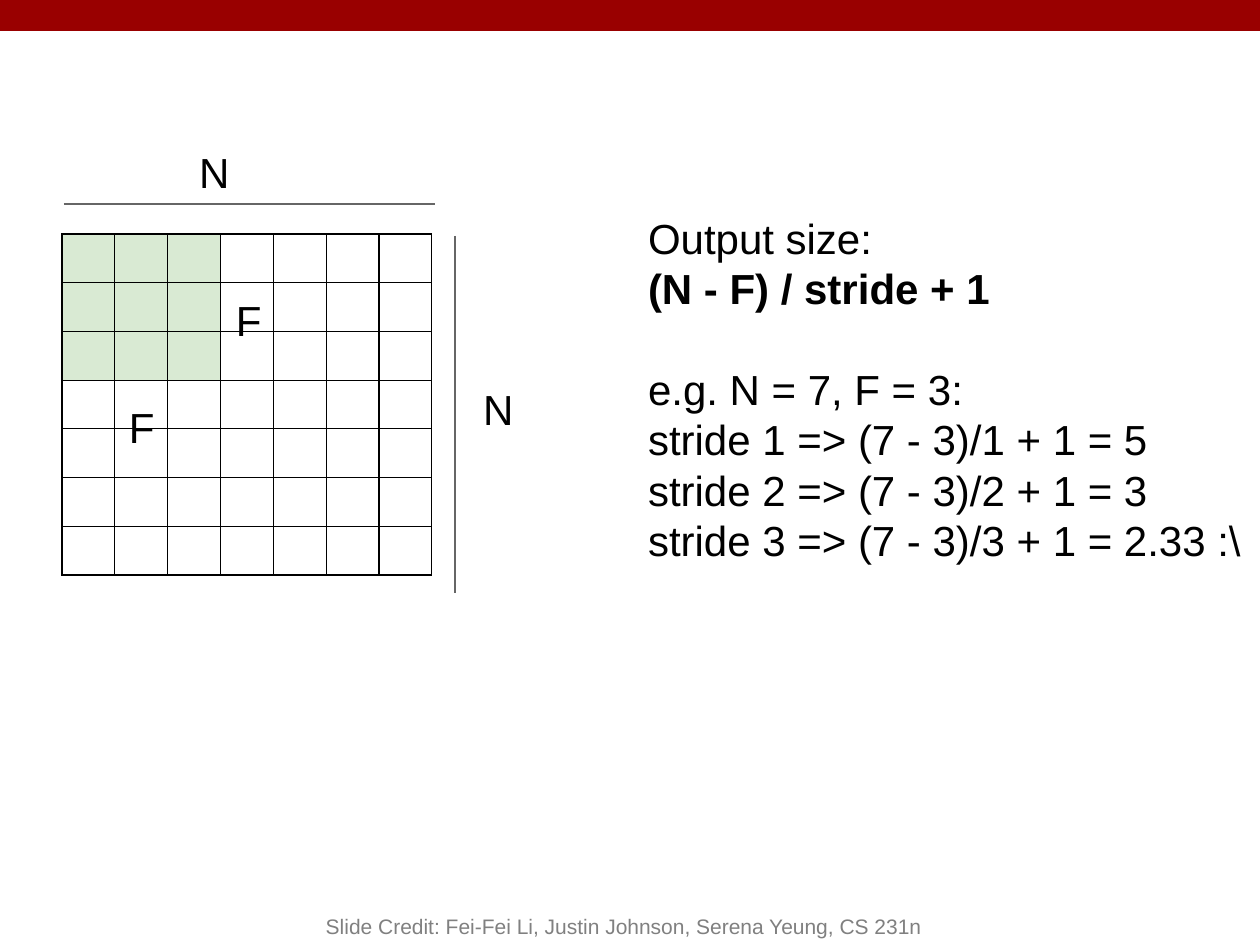
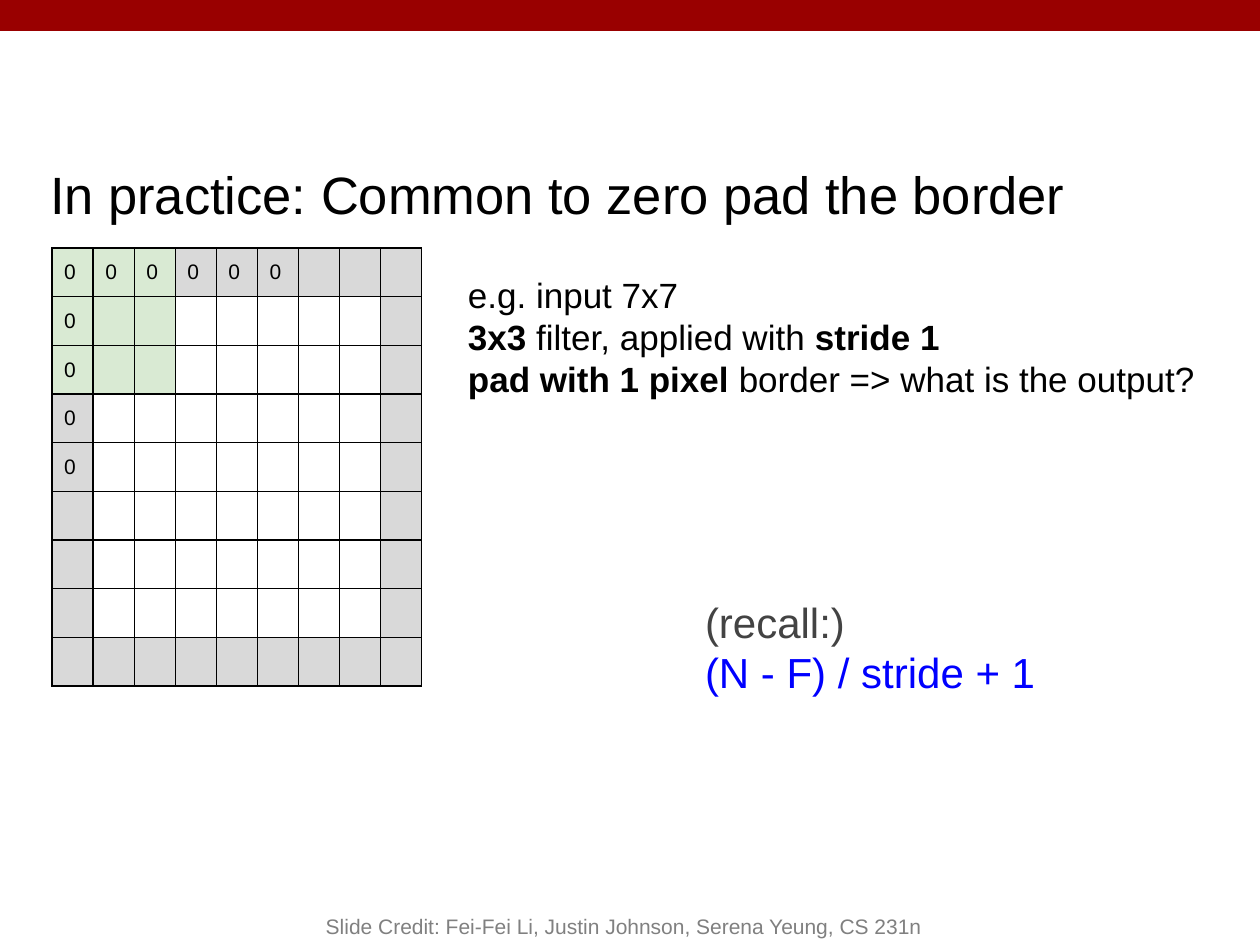
from dataclasses import dataclass

from lxml import etree
from pptx import Presentation
from pptx import util as u
from pptx.dml.color import RGBColor
from pptx.enum import shapes, text
from pptx.oxml import ns

PX = u.Inches(1) / 126


@dataclass(frozen=True)
class Theme:
    """Colours, font and type sizes shared by the slides."""
    font: str = "Arial"
    band: str = "990000"
    ink: str = "000000"
    paper: str = "FFFFFF"
    filter: str = "D9EAD3"
    padding: str = "D9D9D9"
    rule: str = "666666"
    credit: str = "808080"
    muted: str = "434343"
    formula: str = "0000FF"
    title_size: int = 30
    large_size: int = 24
    body_size: int = 20
    small_size: int = 12
    leading: float = 1.2
    rule_width: float = 1.5
    cell_width: float = 0.75


@dataclass(frozen=True)
class Line:
    """One paragraph; text between ** marks is bold."""
    text: str
    color: str = Theme.ink
    lines_before: int = 0


T = Theme()
SLIDE = (0, 0, 1260, 945)


def px(n):
    """Turn pixels into EMU."""
    return u.Emu(round(n * PX))


def rgb(color):
    """Turn a hex string into a colour."""
    return RGBColor.from_string(color)


def style(r, size, color, bold=False):
    """Format one run."""
    r.font.name, r.font.size, r.font.bold = T.font, u.Pt(size), bold
    r.font.color.rgb = rgb(color)


def add_text(s, box, lines, size, inset=13, anchor=text.MSO_ANCHOR.TOP,
             align=text.PP_ALIGN.LEFT):
    """Write lines in a text box."""
    tf = s.shapes.add_textbox(*map(px, box)).text_frame
    tf.word_wrap, tf.vertical_anchor = True, anchor
    tf.margin_left = tf.margin_right = tf.margin_top = tf.margin_bottom = px(inset)
    leading = u.Pt(size * T.leading)
    for i, line in enumerate(lines):
        p = tf.add_paragraph() if i else tf.paragraphs[0]
        p.alignment, p.line_spacing = align, leading
        p.space_before = leading * line.lines_before
        for j, part in enumerate(line.text.split("**")):
            if part:
                r = p.add_run()
                r.text = part
                style(r, size, line.color, bold=j % 2 == 1)


def add_rule(s, x1, y1, x2, y2):
    """Draw a grey dimension line."""
    sp = s.shapes.add_connector(shapes.MSO_CONNECTOR.STRAIGHT, *map(px, (x1, y1, x2, y2)))
    sp.line.color.rgb, sp.line.width = rgb(T.rule), u.Pt(T.rule_width)
    etree.SubElement(sp._element.spPr, ns.qn("a:effectLst"))


def border_cell(cell):
    """Give a cell thin lines on all four sides, placed before its fill."""
    tc_pr = cell._tc.get_or_add_tcPr()
    for i, side in enumerate(("lnL", "lnR", "lnT", "lnB")):
        ln = etree.Element(ns.qn(f"a:{side}"), w=str(u.Pt(T.cell_width)))
        fill = etree.SubElement(ln, ns.qn("a:solidFill"))
        etree.SubElement(fill, ns.qn("a:srgbClr"), val=T.ink)
        tc_pr.insert(i, ln)


def add_grid(s, box, n, fill_of, text_of):
    """Build an n by n table whose fills and words follow two rules."""
    x, y, w, h = box
    table = s.shapes.add_table(n, n, *map(px, box)).table
    for i in range(n):
        table.columns[i].width = px(w / n)
        table.rows[i].height = px(h / n)
        for j in range(n):
            cell = table.cell(i, j)
            cell.margin_left, cell.margin_right = px(8), px(13)
            cell.margin_top = cell.margin_bottom = 0
            cell.vertical_anchor = text.MSO_ANCHOR.MIDDLE
            cell.fill.solid()
            cell.fill.fore_color.rgb = rgb(fill_of(i, j))
            border_cell(cell)
            word = text_of(i, j)
            if word:
                p = cell.text_frame.paragraphs[0]
                p.text, p.alignment = word, text.PP_ALIGN.CENTER
                style(p.runs[0], T.small_size, T.ink)


def in_filter(i, j):
    """Tell whether a cell lies under the 3 by 3 filter."""
    return i < 3 and j < 3


def measured_input(s, box):
    """Show the 7 by 7 input with its N and F dimensions."""
    x, y, w, h = box
    add_grid(s, box, 7, lambda i, j: T.filter if in_filter(i, j) else T.paper,
             lambda i, j: "")
    add_rule(s, x + 2, y - 30, x + w + 3, y - 30)
    add_rule(s, x + w + 23, y + 2, x + w + 23, y + 359)
    for name, dx, dy in (("N", 124, -101), ("N", 408, 136), ("F", 54, 154), ("F", 161, 47)):
        add_text(s, (x + dx, y + dy, 107, 54), [Line(name)], T.large_size)


def padded_input(s, box, n=9):
    """Show the input with its border of zeros."""
    def fill_of(i, j):
        if in_filter(i, j):
            return T.filter
        return T.padding if {i, j} & {0, n - 1} else T.paper

    def text_of(i, j):
        return "0" if (i == 0 and j < 6) or (j == 0 and i < 5) else ""

    add_grid(s, box, n, fill_of, text_of)


def new_slide(prs):
    """Add a slide with the top band and the credit line."""
    s = prs.slides.add_slide(prs.slide_layouts[6])
    x, y, w, h = SLIDE
    band = s.shapes.add_shape(shapes.MSO_SHAPE.RECTANGLE, *map(px, (x, y, w, 31)))
    band.shadow.inherit = False
    band.fill.solid()
    band.fill.fore_color.rgb = rgb(T.band)
    band.line.fill.background()
    credit = "Slide Credit: Fei-Fei Li, Justin Johnson, Serena Yeung, CS 231n"
    add_text(s, (x + 251, y + h - 63, 746, 63), [Line(credit, T.credit)], T.small_size,
             6, text.MSO_ANCHOR.BOTTOM, text.PP_ALIGN.CENTER)
    return s


def output_size_slide(prs):
    """Explain the output size formula."""
    s = new_slide(prs)
    measured_input(s, (62, 234, 370, 341))
    strides = [Line(f"stride {n} => (7 - 3)/{n} + 1 = {result}")
               for n, result in enumerate(("5", "3", "2.33 :\\"), 1)]
    add_text(s, (635, 199, 625, 333),
             [Line("Output size:"), Line("**(N - F) / stride + 1**"),
              Line("e.g. N = 7, F = 3:", lines_before=1), *strides], T.large_size)


def zero_pad_slide(prs):
    """Ask for the output size with a padded border."""
    s = new_slide(prs)
    add_text(s, (37, 149, 1142, 102),
             [Line("In practice: Common to zero pad the border")], T.title_size)
    padded_input(s, (52, 248, 370, 438))
    add_text(s, (455, 261, 805, 204),
             [Line("e.g. input 7x7"), Line("**3x3** filter, applied with **stride 1**"),
              Line("**pad with 1 pixel** border => what is the output?")], T.body_size)
    add_text(s, (692, 562, 398, 169),
             [Line("(recall:)", T.muted), Line("(N - F) / stride + 1", T.formula)],
             T.large_size, anchor=text.MSO_ANCHOR.MIDDLE)


def main():
    """Build the deck."""
    prs = Presentation()
    prs.slide_width, prs.slide_height = map(px, SLIDE[2:])
    output_size_slide(prs)
    zero_pad_slide(prs)
    prs.save("out.pptx")


if __name__ == "__main__":
    main()
